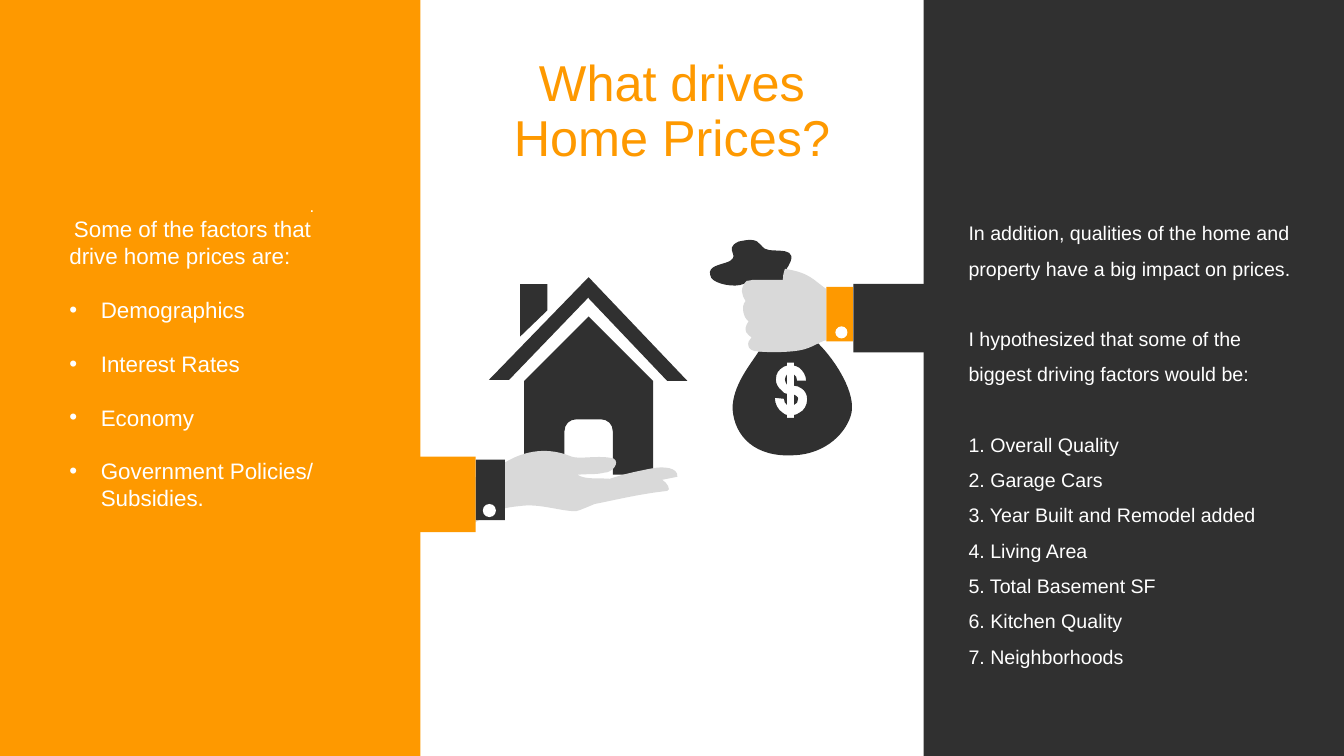
from lxml import etree
from pptx import Presentation
from pptx import util as u
from pptx.dml.color import RGBColor
from pptx.enum import shapes, text
from pptx.oxml.ns import qn

ORANGE, DARK, SKIN, WHITE = "FE9900", "303030", "D9D9D9", "FFFFFF"
PAGE_WIDTH, PAGE_HEIGHT, PANEL_WIDTH = 960, 540, 300.3
UNIT = 0.72  # points per drawing unit of the artwork

HOUSE = """M 184 114 L 248 178 L 248 271 L 208 271 L 208 228 C 208 221 203 216 196 216
L 172 216 C 165 216 160 221 160 228 L 160 271 L 120 271 L 120 178 Z
M 116 82 L 143 82 L 143 108 L 116 134 Z
M 184 75 L 282 178 L 262 178 L 184 96 Z M 184 75 L 184 95 L 105 177 L 85 177 Z"""
PALM = """M 49 284 C 51 299 57 327 67 321 C 90 307 95 304 116 302 C 135 299 159 308 172 307
C 176 306 185 302 190 300 C 215 295 235 290 262 287 C 266 286 262 279 257 276 L 272 273
C 273 264 259 262 245 265 C 230 268 220 270 205 275 C 194 274 180 276 173 271
C 182 270 192 271 199 269 C 208 269 215 259 209 255 C 195 251 175 256 167 253
C 155 248 133 242 106 256 C 88 266 73 273 49 284 Z"""
SACK = """M 88 192 C 88 192 89 192 90 193 C 92 194 92 195 92 196 C 92 199 91 201 88 202 Z
M 81 172 L 81 182 C 80 180 79 179 79 177 C 79 175 80 173 81 172 Z
M 81 160 L 81 163 C 80 163 79 164 78 164 C 73 167 70 170 70 177 C 70 181 72 185 76 188
C 77 190 79 191 81 191 L 81 202 C 79 201 78 198 78 196 L 69 195 C 69 201 72 207 77 210
C 78 211 80 212 81 212 L 81 215 L 88 215 L 88 212 C 90 212 91 211 93 210
C 98 208 101 202 101 197 L 101 196 C 101 192 99 188 96 186 C 93 184 91 183 88 183 L 88 172
C 90 173 91 175 91 178 L 100 178 C 100 173 97 168 93 165 C 91 164 89 163 88 163 L 88 160 Z
M 53 149 C 73 149 91 144 112 141 C 131 160 149 191 145 210 C 141 228 121 251 87 252
C 50 254 29 234 27 206 C 27 183 44 163 53 149 Z"""
KNOT = """M 33 40 C 54 35 52 42 59 47 C 67 52 98 42 80 68 C 79 78 78 72 78 79
C 71 78 51 79 38 82 C 29 86 10 82 6 76 C 1 66 10 64 20 61 C 39 55 16 48 33 40 Z"""
FIST = """M 46 135 C 43 133 36 129 43 119 C 38 116 35 104 40 99 C 36 93 34 86 41 79
C 44 78 45 79 47 78 C 56 78 67 78 77 78 C 77 74 77 74 79 67 C 104 71 107 78 120 87 L 120 138
C 115 138 106 146 93 148 C 81 150 63 150 53 149 C 40 149 41 139 46 135 Z"""

FACTORS = ["Demographics", "Interest Rates", "Economy", "Government Policies/ Subsidies."]
QUALITIES = ["Overall Quality", "Garage Cars", "Year Built and Remodel added", "Living Area",
             "Total Basement SF", "Kitchen Quality", "Neighborhoods"]


def color(value):
    return RGBColor.from_string(value)


def paint(shape, fill):
    shape.shadow.inherit = False
    shape.fill.solid()
    shape.fill.fore_color.rgb = color(fill)
    shape.line.fill.background()


def add_block(canvas, box, fill, kind=shapes.MSO_SHAPE.RECTANGLE):
    paint(canvas.add_shape(kind, *map(u.Pt, box)), fill)


def read_outline(outline):
    """Split M, L, C and Z commands into (command, points) pairs."""
    tokens = iter(outline.split())
    for command in tokens:
        count = {"Z": 0, "C": 3}.get(command, 1)
        yield command, [(int(next(tokens)), int(next(tokens))) for _ in range(count)]


def add_outline(canvas, origin, outline, fill):
    commands = list(read_outline(outline))
    contours = []
    for command, points in commands:
        if command == "M":
            contours.append([])
        contours[-1] += [(u.Pt(origin[0] + x * UNIT), u.Pt(origin[1] + y * UNIT))
                         for x, y in points]
    builder = canvas.build_freeform(*contours[0][0])
    for number, contour in enumerate(contours):
        if number:
            builder.move_to(*contour[0])
        builder.add_line_segments(contour[1:], close=True)
    shape = builder.convert_to_shape()
    bend_curves(shape, commands)
    paint(shape, fill)


def bend_curves(shape, commands):
    """Join the three segments of each C command into one Bézier curve."""
    segments = iter(list(shape._element.find(".//" + qn("a:path"))))
    for command, _ in commands:
        segment = next(segments)
        if command == "C":
            segment.tag = qn("a:cubicBezTo")
            for extra in (next(segments), next(segments)):
                segment.append(extra[0])
                extra.getparent().remove(extra)


def add_arm(canvas, origin, sleeve, cuff, button):
    """Draw sleeve, cuff and button, each given as (area in units, fill)."""
    kinds = shapes.MSO_SHAPE
    parts = (sleeve, cuff, button)
    for (area, fill), kind in zip(parts, (kinds.RECTANGLE, kinds.RECTANGLE, kinds.OVAL)):
        x, y, width, height = (value * UNIT for value in area)
        add_block(canvas, (origin[0] + x, origin[1] + y, width, height), fill, kind)


def add_text_box(page, box, anchor=text.MSO_ANCHOR.TOP, grow=True):
    frame = page.shapes.add_textbox(*map(u.Pt, box)).text_frame
    frame.word_wrap = True
    frame.vertical_anchor = anchor
    if grow:
        frame.auto_size = text.MSO_AUTO_SIZE.SHAPE_TO_FIT_TEXT
    return frame


def add_para(frame, words, size, fill=WHITE, align=text.PP_ALIGN.LEFT, spacing=None,
             before=0, margin=0, indent=0, bullet=None):
    para = frame.paragraphs[0]
    if para.runs:
        para = frame.add_paragraph()
    para.alignment = align
    if spacing:
        para.line_spacing = spacing
    if before:
        para.space_before = u.Pt(before)
    properties = para._p.get_or_add_pPr()
    properties.set("marL", str(u.Pt(margin)))
    properties.set("indent", str(u.Pt(indent)))
    if bullet:
        etree.SubElement(properties, qn("a:buFont")).set("typeface", "Arial")
        etree.SubElement(properties, qn("a:buChar")).set("char", bullet)
    span = para.add_run()
    span.text = words
    span.font.name = "Arial"
    span.font.size = u.Pt(size)
    span.font.color.rgb = color(fill)


def add_title(page, box):
    frame = add_text_box(page, box, text.MSO_ANCHOR.MIDDLE, grow=False)
    add_para(frame, "What drives Home Prices?", 36, ORANGE, text.PP_ALIGN.CENTER, 0.9)


def add_hand(page, origin):
    canvas = page.shapes.add_group_shape().shapes
    add_outline(canvas, origin, PALM, SKIN)
    add_arm(canvas, origin, ((-48, 253, 120, 75), ORANGE), ((72, 256, 29, 60), DARK),
            ((79, 300, 13, 13), WHITE))


def add_money_sack(page, origin):
    canvas = page.shapes.add_group_shape().shapes
    for outline, fill in ((SACK, DARK), (KNOT, DARK), (FIST, SKIN)):
        add_outline(canvas, origin, outline, fill)
    add_arm(canvas, origin, ((147, 82, 115, 68), DARK), ((120, 85, 26.5, 54), ORANGE),
            ((129, 124, 12, 12), WHITE))


def add_qualities(page, box):
    left, top, width, height = box
    frame = add_text_box(page, (left + 25, top + 146, width - 44.7, height - 176.4))
    intro = ["In addition, qualities of the home and property have a big impact on prices.",
             "I hypothesized that some of the biggest driving factors would be:"]
    numbered = [f"{number}. {name}" for number, name in enumerate(QUALITIES, 1)]
    for index, words in enumerate(intro + numbered):
        add_para(frame, words, 14, spacing=1.5, before=25.2 if index in (1, 2) else 0)


def add_factors(page, box):
    left, top = box[:2]
    frame = add_text_box(page, (left + 42.5, top + 136.1, 205.9, 234.7))
    add_para(frame, ".", 12, margin=171.6)
    add_para(frame, "Some of the factors that drive home prices are:", 16, indent=3.3)
    for name in FACTORS:
        add_para(frame, name, 16, before=19.2, margin=22.5, indent=-22.5, bullet="•")


def main():
    deck = Presentation()
    deck.slide_width, deck.slide_height = u.Pt(PAGE_WIDTH), u.Pt(PAGE_HEIGHT)
    page = deck.slides.add_slide(deck.slide_layouts[6])
    left_panel = (0, 0, PANEL_WIDTH, PAGE_HEIGHT)
    right_panel = (PAGE_WIDTH - PANEL_WIDTH, 0, PANEL_WIDTH, PAGE_HEIGHT)
    house_origin, sack_origin = (288, 144), (503.8, 143.8)
    add_outline(page.shapes, house_origin, HOUSE, DARK)
    add_title(page, (352.2, 21.6, 255.6, 118))
    add_block(page.shapes, right_panel, DARK)
    add_block(page.shapes, left_panel, ORANGE)
    add_money_sack(page, sack_origin)
    add_hand(page, house_origin)
    add_qualities(page, right_panel)
    add_factors(page, left_panel)
    deck.save("out.pptx")


if __name__ == "__main__":
    main()
